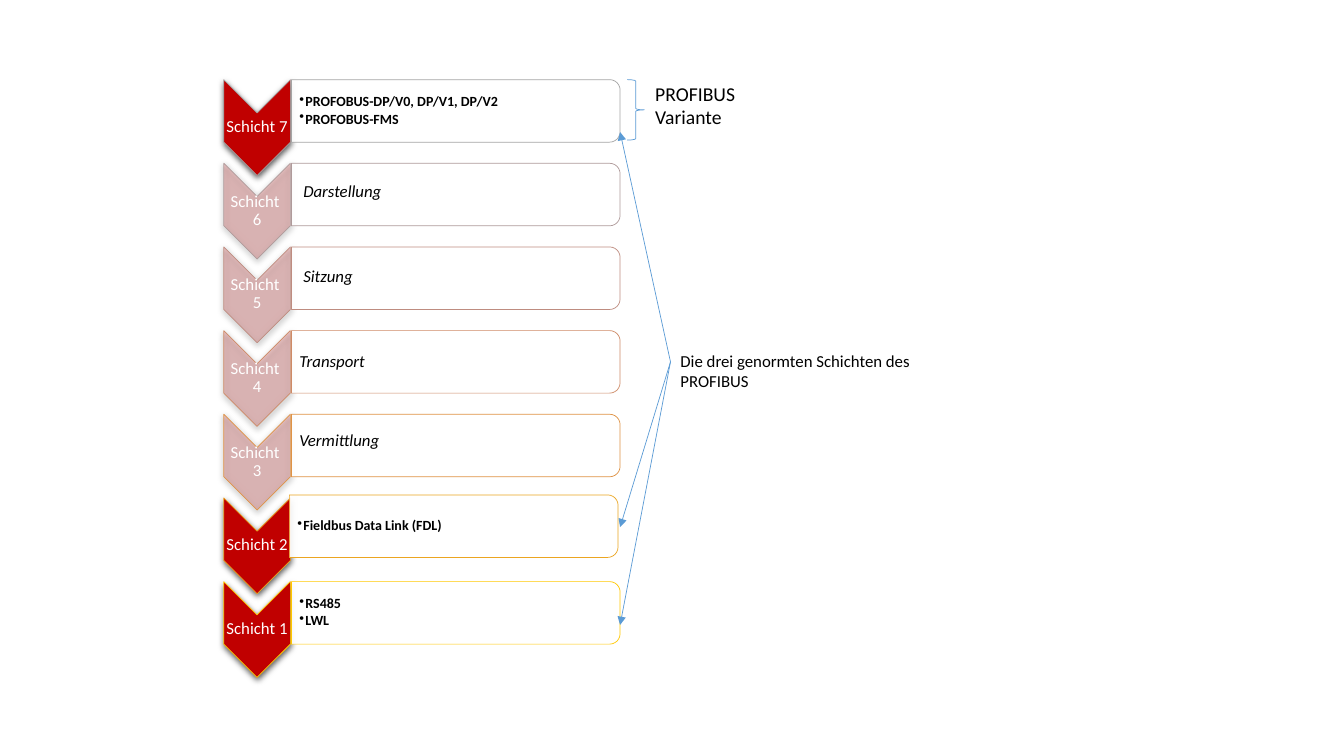
import lxml.etree
import pptx
import pptx.dml.color
import pptx.enum.shapes
import pptx.enum.text
import pptx.oxml
import pptx.oxml.ns
import pptx.util

RGBColor = pptx.dml.color.RGBColor
Inches = pptx.util.Inches
Pt = pptx.util.Pt
Shapes = pptx.enum.shapes.MSO_SHAPE
Anchor = pptx.enum.text.MSO_ANCHOR
Align = pptx.enum.text.PP_ALIGN
qn = pptx.oxml.ns.qn

RED = RGBColor(0xC0, 0x00, 0x00)
WHITE = RGBColor(0xFF, 0xFF, 0xFF)
BLACK = RGBColor(0x00, 0x00, 0x00)
BLUE = RGBColor(0x5B, 0x9B, 0xD5)
GREY = RGBColor(0xA5, 0xA5, 0xA5)
MAUVE = RGBColor(0xAF, 0x9A, 0x9A)
ROSE = RGBColor(0xBE, 0x8C, 0x80)
COPPER = RGBColor(0xCE, 0x8A, 0x66)
ORANGE = RGBColor(0xDF, 0x93, 0x45)
AMBER = RGBColor(0xEB, 0xA5, 0x21)
GOLD = RGBColor(0xFF, 0xC8, 0x00)

SLIDE_WIDTH, SLIDE_HEIGHT = 13.33, 7.5
ROW_PITCH = 0.83
CHEVRON_WIDTH, CHEVRON_HEIGHT = 0.66, 0.95
BODY_WIDTH, BODY_HEIGHT = 3.26, 0.62
TIGHT = 0.01

STANDARD_LAYERS = {
    0: ("Schicht 7", GREY, ["PROFOBUS-DP/V0, DP/V1, DP/V2", "PROFOBUS-FMS"], (0, 0)),
    5: ("Schicht 2", AMBER, ["Fieldbus Data Link (FDL)"], (-0.02, -0.03)),
    6: ("Schicht 1", GOLD, ["RS485", "LWL"], (0, 0)),
}
UNUSED_LAYERS = {
    1: ("Schicht  6", MAUVE, "Darstellung", (0.02, 0.12, 2.74)),
    2: ("Schicht  5", ROSE, "Sitzung", (0.02, 0.14, 1.54)),
    3: ("Schicht  4", COPPER, "Transport", (-0.02, 0.15, 1.31)),
    4: ("Schicht  3", ORANGE, "Vermittlung", (-0.02, 0.1, 1.98)),
}


def add_text(slide, lines, box, size=12, color=BLACK, bold=False, italic=False,
             align=Align.LEFT, anchor=Anchor.TOP, insets=None, spacing=None,
             after=0, bullets=False):
    """Add a text box holding one paragraph per line."""
    shape = slide.shapes.add_textbox(*map(Inches, box))
    frame = shape.text_frame
    frame.word_wrap = True
    frame.vertical_anchor = anchor
    if insets:
        (frame.margin_left, frame.margin_top,
         frame.margin_right, frame.margin_bottom) = map(Inches, insets)
    else:
        frame.auto_size = pptx.enum.text.MSO_AUTO_SIZE.SHAPE_TO_FIT_TEXT
    for index, line in enumerate(lines):
        paragraph = frame.paragraphs[0] if index == 0 else frame.add_paragraph()
        paragraph.alignment = align
        if spacing:
            paragraph.line_spacing = spacing
            paragraph.space_after = Pt(after)
        if bullets:
            paragraph.level = 1
            properties = paragraph._p.get_or_add_pPr()
            properties.set("marL", str(Inches(0.06)))
            properties.set("indent", str(-Inches(0.06)))
            lxml.etree.SubElement(properties, qn("a:buChar"), char="•")
        run = paragraph.add_run()
        run.text = line
        run.font.name = "Calibri"
        run.font.size = Pt(size)
        run.font.bold = bold
        run.font.italic = italic
        run.font.color.rgb = color


def add_turned_shape(slide, kind, box, fill, line, opacity):
    """Add a shape turned by 90 degrees that covers the given box."""
    left, top, width, height = box
    shift = (width - height) / 2
    shape = slide.shapes.add_shape(
        kind, *map(Inches, (left + shift, top - shift, height, width)))
    shape.rotation = 90
    shape.shadow.inherit = False
    shape.fill.solid()
    shape.fill.fore_color.rgb = fill
    shape.line.color.rgb = line
    shape.line.width = Pt(0.5)
    if opacity < 100:
        color = shape.element.spPr.find(qn("a:solidFill")).find(qn("a:srgbClr"))
        lxml.etree.SubElement(color, qn("a:alpha"), val=str(opacity * 1000))
    return shape


def add_drop_shadow(shape):
    """Give the shape a soft black shadow below it."""
    effects = shape.element.spPr.find(qn("a:effectLst"))
    shadow = lxml.etree.SubElement(
        effects, qn("a:outerShdw"), blurRad=str(Pt(4.5)), dist=str(Pt(1.5)),
        dir="5400000", algn="ctr", rotWithShape="0")
    color = lxml.etree.SubElement(shadow, qn("a:srgbClr"), val="000000")
    lxml.etree.SubElement(color, qn("a:alpha"), val="63000")


def add_layer(slide, left, top, label, line, opacity, offset=(0, 0)):
    """Draw a labelled chevron with its body and return the body's corner."""
    chevron = add_turned_shape(
        slide, Shapes.CHEVRON, (left, top, CHEVRON_WIDTH, CHEVRON_HEIGHT),
        RED, line, opacity)
    add_drop_shadow(chevron)
    add_text(slide, [label], (left, top + 0.33, CHEVRON_WIDTH, 0.28), color=WHITE,
             align=Align.CENTER, anchor=Anchor.MIDDLE, insets=[TIGHT] * 4,
             spacing=0.9, after=4.2)
    body_left, body_top = left + CHEVRON_WIDTH + 0.01 + offset[0], top + offset[1]
    add_turned_shape(slide, Shapes.ROUND_2_SAME_RECTANGLE,
                     (body_left, body_top, BODY_WIDTH, BODY_HEIGHT), WHITE, line, 90)
    return body_left, body_top


def add_stack(slide, left, top):
    """Draw the seven layers from top to bottom."""
    for row in range(len(STANDARD_LAYERS) + len(UNUSED_LAYERS)):
        row_top = top + row * ROW_PITCH
        if row in STANDARD_LAYERS:
            label, line, items, offset = STANDARD_LAYERS[row]
            body_left, body_top = add_layer(
                slide, left, row_top, label, line, 100, offset)
            add_text(slide, items, (body_left, body_top + 0.03, BODY_WIDTH - 0.03, 0.56),
                     size=10, bold=True, anchor=Anchor.MIDDLE,
                     insets=(0.08, TIGHT, TIGHT, TIGHT), spacing=0.9, after=1.5,
                     bullets=True)
        else:
            label, line, name, (shift, drop, width) = UNUSED_LAYERS[row]
            body_left, body_top = add_layer(slide, left, row_top, label, line, 20)
            add_text(slide, [name], (body_left + shift, body_top + drop, width, 0.3),
                     italic=True)


def add_annotations(slide, left, top):
    """Draw the arrows, brace and notes to the right of the layers."""
    hub = left + 0.5, top + 2.8
    for drop in (0.52, 4.44, 5.41):
        arrow = slide.shapes.add_connector(
            pptx.enum.shapes.MSO_CONNECTOR.STRAIGHT,
            *map(Inches, (left, top + drop, *hub)))
        arrow.line.color.rgb = BLUE
        arrow.line.width = Pt(0.5)
        lxml.etree.SubElement(arrow.line._get_or_add_ln(), qn("a:headEnd"), type="triangle")
        lxml.etree.SubElement(arrow._element.spPr, qn("a:effectLst"))
    brace = slide.shapes.add_shape(
        Shapes.RIGHT_BRACE, *map(Inches, (left + 0.07, top, 0.17, 0.6)))
    brace.shadow.inherit = False
    brace.fill.background()
    brace.line.color.rgb = BLUE
    brace.line.width = Pt(0.5)
    add_text(slide, ["PROFIBUS Variante"], (left + 0.25, top - 0.03, 1.47, 0.57), size=14)
    add_text(slide, ["Die drei genormten Schichten des PROFIBUS"],
             (hub[0], hub[1] - 0.16, 2.79, 0.5))


def main():
    """Build and save the slide."""
    presentation = pptx.Presentation()
    presentation.slide_width = Inches(SLIDE_WIDTH)
    presentation.slide_height = Inches(SLIDE_HEIGHT)
    slide = presentation.slides.add_slide(presentation.slide_layouts[6])
    stack_left, stack_top = 2.22, 0.79
    add_stack(slide, stack_left, stack_top)
    add_annotations(slide, stack_left + CHEVRON_WIDTH + BODY_WIDTH + 0.01, stack_top)
    presentation.save("out.pptx")


if __name__ == "__main__":
    main()
